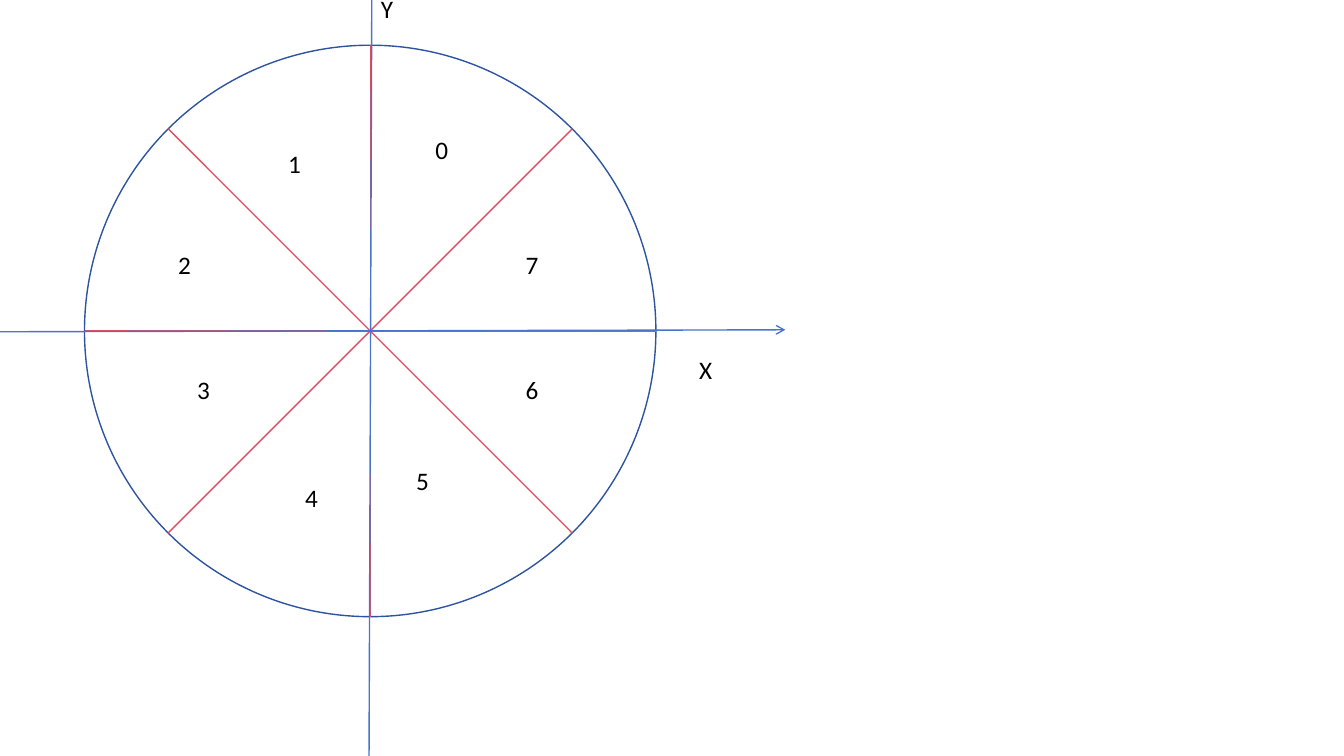
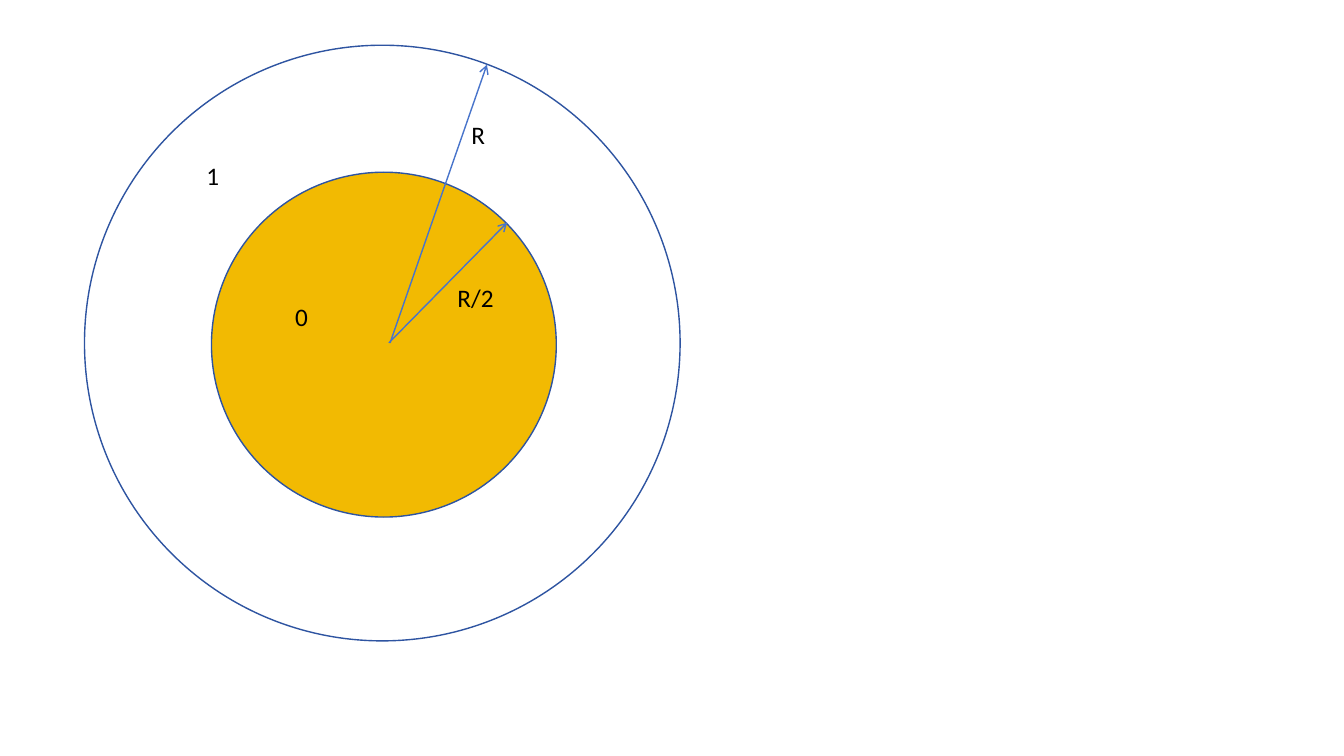
from math import cos, radians, sin

from lxml import etree
from pptx import Presentation
from pptx.dml.color import RGBColor
from pptx.enum.shapes import MSO_CONNECTOR, MSO_SHAPE
from pptx.enum.text import MSO_AUTO_SIZE
from pptx.oxml.ns import qn
from pptx.util import Cm, Pt

ELLIPSE = MSO_SHAPE.OVAL
STRAIGHT = MSO_CONNECTOR.STRAIGHT
FIT_SHAPE = MSO_AUTO_SIZE.SHAPE_TO_FIT_TEXT

COLORS = {
    "outline": "2E54A1",
    "axis": "4874CB",
    "sector": "E54C5E",
    "core": "F2BA02",
    "text": "000000",
}


def rgb(name):
    return RGBColor.from_string(COLORS[name])


class Deck:
    """Shared style and the current slide; all lengths are in centimetres."""

    font = "Calibri"
    size = Pt(18)
    line_width = Pt(1)

    def __init__(self):
        self.prs = Presentation()
        self.prs.slide_width, self.prs.slide_height = Cm(33.87), Cm(19.05)
        self.s = None

    def new_slide(self):
        self.s = self.prs.slides.add_slide(self.prs.slide_layouts[6])

    def circle(self, left, top, diameter, fill=None):
        sp = self.s.shapes.add_shape(
            ELLIPSE, Cm(left), Cm(top), Cm(diameter), Cm(diameter))
        sp.shadow.inherit = False
        if fill:
            sp.fill.solid()
            sp.fill.fore_color.rgb = rgb(fill)
        else:
            sp.fill.background()
        sp.line.color.rgb = rgb("outline")
        sp.line.width = self.line_width

    def line(self, start, end, color="axis", arrow=False):
        cx = self.s.shapes.add_connector(
            STRAIGHT, *(Cm(v) for v in (*start, *end)))
        cx.line.color.rgb = rgb(color)
        cx.line.width = self.line_width
        if arrow:
            ln = cx.line._get_or_add_ln()
            etree.SubElement(ln, qn("a:tailEnd"), type="arrow")
        etree.SubElement(cx._element.spPr, qn("a:effectLst"))

    def label(self, text, left, top, width=1.42):
        tb = self.s.shapes.add_textbox(Cm(left), Cm(top), Cm(width), Cm(1.02))
        tf = tb.text_frame
        tf.word_wrap = True
        tf.auto_size = FIT_SHAPE
        p = tf.paragraphs[0]
        p.text = text
        p.font.name = self.font
        p.font.size = self.size
        p.font.color.rgb = rgb("text")


def sectors_slide(deck):
    """Circle cut into eight numbered sectors, with X and Y axes."""
    deck.new_slide()
    left, top, radius = 2.13, 1.14, 7.2
    cx, cy = left + radius, top + radius
    deck.circle(left, top, 2 * radius)
    for angle in range(0, 180, 45):
        dx, dy = radius * cos(radians(angle)), radius * sin(radians(angle))
        deck.line((cx - dx, cy - dy), (cx + dx, cy + dy), "sector")

    sector_labels = [
        (10.72, 3.25), (7.01, 3.61), (4.24, 6.15), (4.72, 9.32),
        (7.44, 12.04), (10.24, 11.61), (13, 9.3), (13, 6.15),
    ]
    for number, (x, y) in enumerate(sector_labels):
        deck.label(str(number), x, y)
    deck.label("Y", 9.35, -0.3)
    deck.label("X", 17.37, 8.81)
    deck.line((9.3, 19.05), (9.37, 0))
    deck.line((0, 8.36), (19.79, 8.31), arrow=True)


def rings_slide(deck):
    """Two concentric zones with radii R/2 and R."""
    deck.new_slide()
    deck.circle(5.33, 4.34, 8.69, fill="core")
    deck.circle(2.13, 1.14, 15.01)
    deck.label("1", 4.95, 3.91)
    deck.label("0", 7.19, 7.47)
    deck.line((9.8, 8.64), (12.78, 5.61), arrow=True)
    deck.label("R/2", 11.28, 6.99, width=2.13)
    deck.line((9.83, 8.64), (12.27, 1.63), arrow=True)
    deck.label("R", 11.63, 2.87, width=2.13)


def main():
    deck = Deck()
    sectors_slide(deck)
    rings_slide(deck)
    deck.prs.save("out.pptx")


if __name__ == "__main__":
    main()
